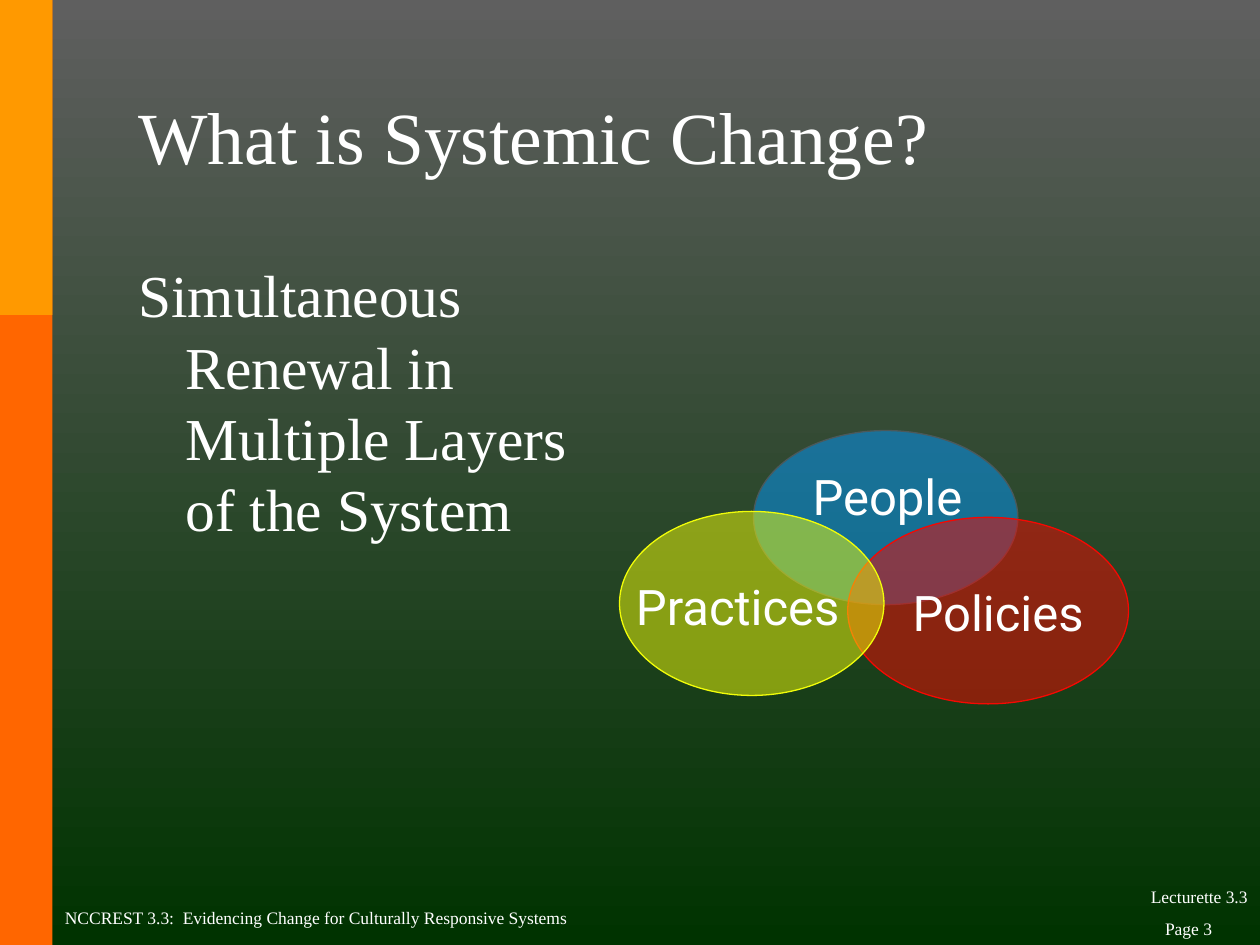
from pptx import Presentation
from pptx.dml.color import RGBColor
from pptx.enum.shapes import MSO_SHAPE
from pptx.enum.text import MSO_ANCHOR, PP_ALIGN
from pptx.oxml.ns import qn
from pptx.util import Cm, Pt
from lxml.etree import SubElement


def color(hex_value):
    return RGBColor.from_string(hex_value)


def write(box, text, size, name="Times New Roman", align=PP_ALIGN.LEFT,
          anchor=MSO_ANCHOR.BOTTOM, spacing=1.0):
    frame = box.text_frame
    frame.text = text
    frame.word_wrap = True
    frame.vertical_anchor = anchor
    para = frame.paragraphs[0]
    para.alignment = align
    para.line_spacing = spacing
    for span in para.runs:
        for key, value in {"name": name, "size": Pt(size)}.items():
            setattr(span.font, key, value)
        span.font.color.rgb = color("FFFFFF")
    return para


deck = Presentation()
deck.slide_width, deck.slide_height = Cm(25.4), Cm(19.05)
page = deck.slides.add_slide(deck.slide_layouts[5])

background = page.background.fill
background.gradient()
background.gradient_angle = 270
for stop, (position, shade) in zip(background.gradient_stops, [(0, "5F5F5F"), (1, "003300")]):
    stop.position = position
    stop.color.rgb = color(shade)

for height, shade in [(19.05, "FF6600"), (6.35, "FF9900")]:
    band = page.shapes.add_shape(MSO_SHAPE.RECTANGLE, 0, 0, Cm(1.06), Cm(height))
    band.shadow.inherit = False
    band.fill.solid()
    band.fill.fore_color.rgb = color(shade)
    band.line.fill.background()

footers = [
    ("Lecturette 3.3", 19.05, 17.57, 6.35, 0.85, PP_ALIGN.RIGHT),
    ("Page 3 ", 19.05, 18.2, 5.72, 0.85, PP_ALIGN.RIGHT),
    ("NCCREST 3.3:  Evidencing Change for Culturally Responsive Systems",
     1.06, 17.36, 17.78, 1.48, PP_ALIGN.LEFT),
]
for text, left, top, width, height, align in footers:
    footer = page.shapes.add_textbox(Cm(left), Cm(top), Cm(width), Cm(height))
    write(footer, text, 10, align=align)

title = page.shapes.title
title_place = {"left": 2.54, "top": 1.27, "width": 19.05, "height": 3.18}
for key, value in title_place.items():
    setattr(title, key, Cm(value))
write(title, "What is Systemic Change?", 42, anchor=MSO_ANCHOR.MIDDLE, spacing=0.85)

body = page.shapes.add_textbox(Cm(2.54), Cm(5.08), Cm(10.26), Cm(11.43))
body_para = write(body, "Simultaneous\vRenewal in Multiple Layers of the System", 34,
                  anchor=MSO_ANCHOR.TOP)
for key, value in {"marL": Cm(0.95), "indent": Cm(-0.95)}.items():
    body_para._p.get_or_add_pPr().set(key, str(value))

venn = page.shapes.add_group_shape()
circles = [
    ("People", "0399FF", "4B595B", (15.19, 8.68, 5.33, 3.51), (15.54, 9.73)),
    ("Policies", "F60802", "F60802", (17.09, 10.43, 5.66, 3.76), (17.77, 12.07)),
    ("Practices", "F1FD09", "F1FD09", (12.49, 10.31, 5.33, 3.71), (12.52, 11.96)),
]
for text, fill, outline, place, label_place in circles:
    circle = venn.shapes.add_shape(MSO_SHAPE.OVAL, *map(Cm, place))
    circle.shadow.inherit = False
    circle.fill.solid()
    circle.fill.fore_color.rgb = color(fill)
    shade = circle.fill._xPr.find(qn("a:solidFill"))[0]
    SubElement(shade, qn("a:alpha")).set("val", "50000")
    circle.line.color.rgb = color(outline)
    circle.line.width = Pt(0.75)
    label = venn.shapes.add_textbox(*map(Cm, label_place), Cm(4.7), Cm(0.53))
    write(label, text, 28, "Roboto", PP_ALIGN.CENTER, MSO_ANCHOR.MIDDLE)

deck.save("out.pptx")
